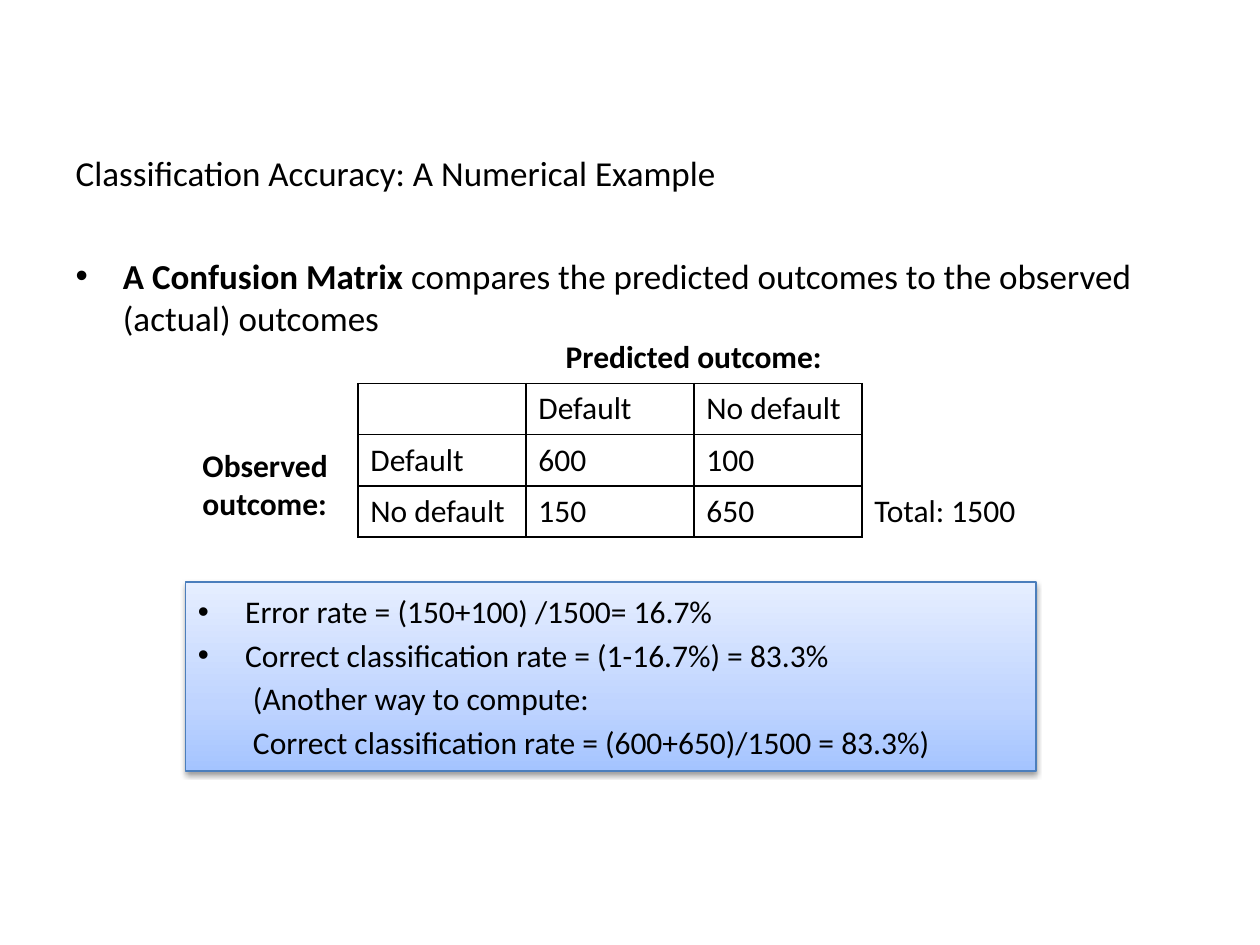
from copy import deepcopy

from lxml import etree
from pptx import Presentation
from pptx.dml.color import RGBColor
from pptx.enum.shapes import MSO_SHAPE
from pptx.enum.text import MSO_ANCHOR, MSO_AUTO_SIZE, PP_ALIGN
from pptx.oxml.ns import qn
from pptx.util import Pt

RECTANGLE = MSO_SHAPE.RECTANGLE
MIDDLE = MSO_ANCHOR.MIDDLE
NO_AUTOFIT = MSO_AUTO_SIZE.NONE
LEFT, CENTER = PP_ALIGN.LEFT, PP_ALIGN.CENTER

BLACK = RGBColor(0x00, 0x00, 0x00)
BOX_LINE = RGBColor(0x4B, 0x7E, 0xBC)
BOX_GRADIENT = [
    (0, RGBColor(0xA4, 0xC4, 0xFF)),
    (0.35, RGBColor(0xBF, 0xD4, 0xFF)),
    (1, RGBColor(0xE6, 0xEE, 0xFF)),
]
FONT = "Calibri"

COLUMN_WIDTH, ROW_HEIGHT = 96, 29.2
MATRIX_ROWS = [
    ["", "", "Predicted outcome:", "", ""],
    ["", "", "Default", "No default", ""],
    ["Observed outcome:", "Default", "600", "100", ""],
    ["", "No default", "150", "650", "Total: 1500"],
]
RULED_CELLS = {(row, column) for row in (1, 2, 3) for column in (1, 2, 3)}
# Border tags in schema order, with the step to the neighbouring cell
SIDES = [("a:lnL", 0, -1), ("a:lnR", 0, 1), ("a:lnT", -1, 0), ("a:lnB", 1, 0)]

RATE_LINES = [
    ("Error rate = (150+100) /1500= 16.7%", True),
    ("Correct classification rate = (1-16.7%) = 83.3%", True),
    ("(Another way to compute:", False),
    ("Correct classification rate = (600+650)/1500 = 83.3%)", False),
]


def write_text(paragraph, text, size=18, bold=False, align=LEFT):
    """Add one formatted run to a paragraph."""
    paragraph.alignment = align
    run = paragraph.add_run()
    run.text = text
    run.font.name = FONT
    run.font.size = Pt(size)
    run.font.bold = bold
    run.font.color.rgb = BLACK


def set_indent(paragraph, left, bullet=False, space_before=0):
    """Indent a paragraph, hanging it on a bullet if it has one."""
    paragraph.space_before = Pt(space_before)
    properties = paragraph._p.get_or_add_pPr()
    properties.set("marL", str(Pt(left)))
    properties.set("indent", str(Pt(-left if bullet else 0)))
    if bullet:
        etree.SubElement(properties, qn("a:buFont"), typeface="Arial")
        etree.SubElement(properties, qn("a:buChar"), char="•")
    else:
        etree.SubElement(properties, qn("a:buNone"))


def place(shape, left, top, width, height):
    shape.left, shape.top = Pt(left), Pt(top)
    shape.width, shape.height = Pt(width), Pt(height)


def fill_placeholders(slide):
    # Title
    title = slide.shapes.title
    place(title, 36, 78, 678, 41)
    title.text_frame.auto_size = NO_AUTOFIT
    title.text_frame.vertical_anchor = MIDDLE
    write_text(title.text_frame.paragraphs[0],
               "Classification Accuracy: A Numerical Example", size=20)

    # Definition bullet
    body = slide.placeholders[1]
    place(body, 36, 142, 666, 183)
    body.text_frame.auto_size = NO_AUTOFIT
    paragraph = body.text_frame.paragraphs[0]
    set_indent(paragraph, 27, bullet=True)
    write_text(paragraph, "A Confusion Matrix ", size=20, bold=True)
    write_text(paragraph, "compares the predicted outcomes to the observed "
               "(actual) outcomes", size=20)


def set_borders(cell, row, column):
    """Rule every side that touches the matrix and clear the others."""
    properties = cell._tc.get_or_add_tcPr()
    for index, (tag, row_step, column_step) in enumerate(SIDES):
        line = etree.Element(qn(tag), w=str(Pt(1)))
        edge_cells = {(row, column), (row + row_step, column + column_step)}
        if edge_cells & RULED_CELLS:
            fill = etree.SubElement(line, qn("a:solidFill"))
            etree.SubElement(fill, qn("a:srgbClr"), val=str(BLACK))
        else:
            etree.SubElement(line, qn("a:noFill"))
        properties.insert(index, line)


def add_confusion_matrix(slide):
    row_count, column_count = len(MATRIX_ROWS), len(MATRIX_ROWS[0])
    table = slide.shapes.add_table(
        row_count, column_count, Pt(108.5), Pt(190), Pt(COLUMN_WIDTH * column_count),
        Pt(ROW_HEIGHT * row_count)).table
    table.first_row = table.horz_banding = False
    for column in table.columns:
        column.width = Pt(COLUMN_WIDTH)
    for row in table.rows:
        row.height = Pt(ROW_HEIGHT)

    for row, texts in enumerate(MATRIX_ROWS):
        for column, text in enumerate(texts):
            cell = table.cell(row, column)
            cell.fill.background()
            set_borders(cell, row, column)
            if text:
                write_text(cell.text_frame.paragraphs[0], text,
                           bold=text.endswith("outcome:"),
                           align=CENTER if row == 0 else LEFT)

    # Axis headings span the two outcomes
    table.cell(0, 2).merge(table.cell(0, 3))
    table.cell(2, 0).merge(table.cell(3, 0))
    table.cell(2, 0).vertical_anchor = MIDDLE


def set_gradient(shape, stops, angle):
    shape.fill.gradient()
    shape.fill.gradient_angle = angle
    stop_list = shape._element.spPr.find(qn("a:gradFill")).find(qn("a:gsLst"))
    while len(stop_list) < len(stops):
        stop_list.append(deepcopy(stop_list[0]))
    for stop, (position, color) in zip(shape.fill.gradient_stops, stops):
        stop.position = position
        stop.color.rgb = color


def set_shadow(shape, blur, distance, opacity):
    """Give a shape a soft black shadow straight below it."""
    shape.shadow.inherit = False
    effects = shape._element.spPr.find(qn("a:effectLst"))
    shadow = etree.SubElement(
        effects, qn("a:outerShdw"), blurRad=str(Pt(blur)),
        dist=str(Pt(distance)), dir="5400000", rotWithShape="0")
    color = etree.SubElement(shadow, qn("a:srgbClr"), val=str(BLACK))
    etree.SubElement(color, qn("a:alpha"), val=str(opacity * 1000))


def add_rates_box(slide):
    box = slide.shapes.add_shape(RECTANGLE, Pt(106), Pt(332.6), Pt(486), Pt(108))
    set_gradient(box, BOX_GRADIENT, angle=90)
    box.line.color.rgb = BOX_LINE
    box.line.width = Pt(0.75)
    set_shadow(box, blur=3.1, distance=1.6, opacity=38)

    frame = box.text_frame
    frame.word_wrap = True
    frame.vertical_anchor = MIDDLE
    for index, (text, bullet) in enumerate(RATE_LINES):
        paragraph = frame.add_paragraph() if index else frame.paragraphs[0]
        paragraph.level = 0 if bullet else 1
        set_indent(paragraph, 27 if bullet else 31.5, bullet=bullet,
                   space_before=3.2 if index else 0)
        write_text(paragraph, text)


def main():
    presentation = Presentation()
    presentation.slide_width, presentation.slide_height = Pt(720), Pt(540)
    slide = presentation.slides.add_slide(presentation.slide_layouts[1])
    fill_placeholders(slide)
    add_confusion_matrix(slide)
    add_rates_box(slide)
    presentation.save("out.pptx")


if __name__ == "__main__":
    main()
